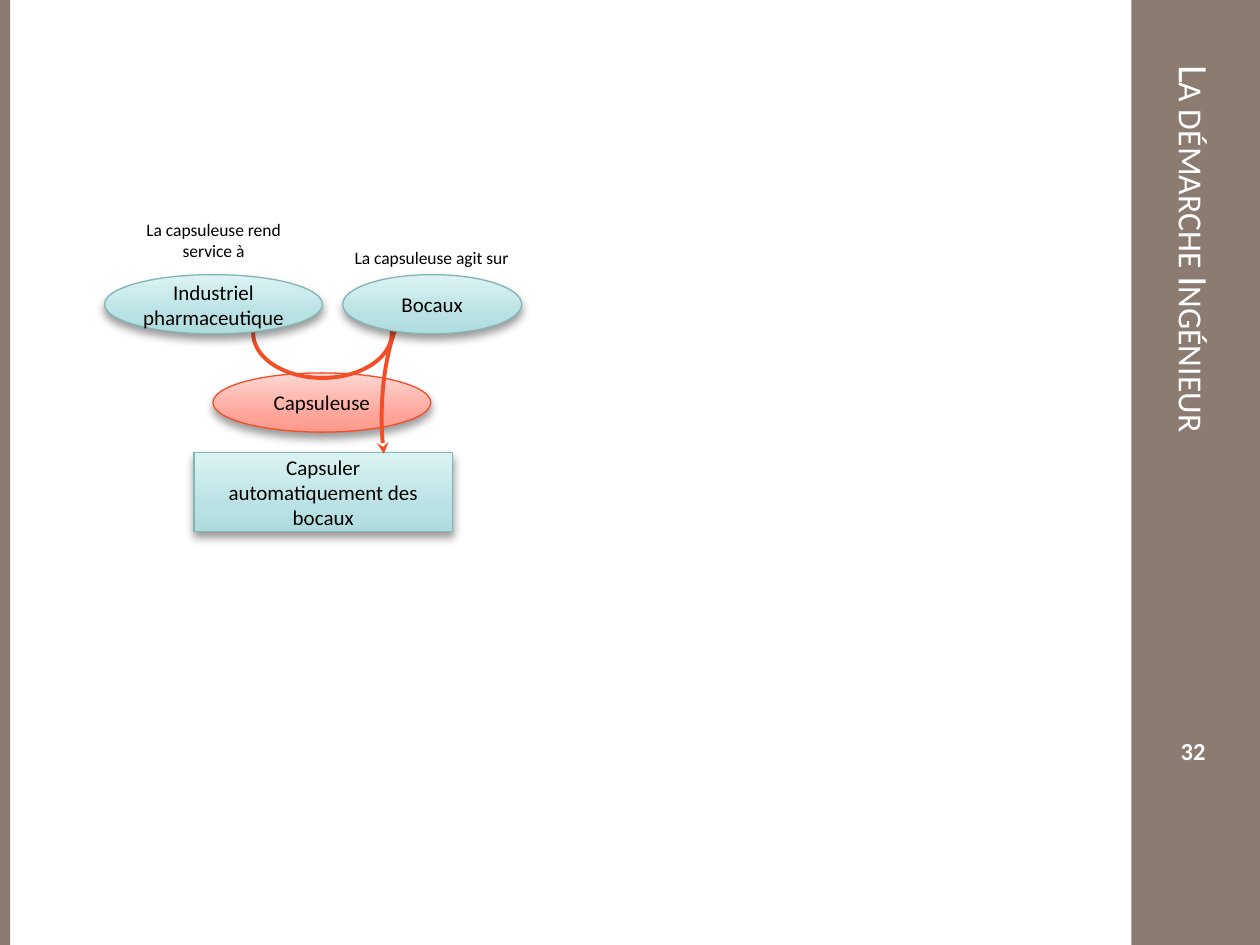
from copy import deepcopy
from lxml.etree import SubElement
from pptx import Presentation
from pptx.dml.color import RGBColor
from pptx.enum.shapes import MSO_SHAPE as Form
from pptx.enum.text import MSO_ANCHOR as Anchor, PP_ALIGN as Align
from pptx.oxml.ns import qn
from pptx.util import Inches, Pt

COLS, ROWS = 100, 75
WIDE, HIGH = Inches(10), Inches(7.5)
BROWN, WHITE, BLACK, ORANGE = "8C7B70", "FFFFFF", "000000", "F34E27"
TEAL = ("B1DCDD", "B6E0E2", "DCF3F4"), "84B5B6"
CORAL = ("FF9A8C", "FFA397", "FFD6D2"), ORANGE


def tint(color, code):
    """Set a colour from a hex string."""
    color.rgb = RGBColor.from_string(code)


def place(x, y, w, h):
    """Turn grid columns and rows into slide lengths."""
    return (round(x * WIDE / COLS), round(y * HIGH / ROWS),
            round(w * WIDE / COLS), round(h * HIGH / ROWS))


def write(shape, text, size, code=BLACK, align=Align.CENTER, anchor=Anchor.MIDDLE):
    """Put formatted text in a shape and return its font."""
    frame = shape.text_frame
    frame.text = text
    frame.word_wrap = True
    frame.vertical_anchor = anchor
    para = frame.paragraphs[0]
    para.alignment = align
    font = para.runs[0].font
    font.name, font.size = "Calibri", Pt(size)
    tint(font.color, code)
    return font


def add_bar(slide, *box):
    """Draw a plain brown band."""
    bar = slide.shapes.add_shape(Form.RECTANGLE, *place(*box))
    bar.shadow.inherit = False
    bar.fill.solid()
    tint(bar.fill.fore_color, BROWN)
    bar.line.fill.background()


def add_text(slide, box, text, size, **style):
    """Add a text box and return its shape and font."""
    label = slide.shapes.add_textbox(*place(*box))
    return label, write(label, text, size, **style)


def blend(shape, codes):
    """Fill a shape with a three-stop gradient rising from its foot."""
    shape.fill.gradient()
    shape.fill.gradient_angle = 90
    stops = shape._element.spPr.find(qn("a:gradFill")).find(qn("a:gsLst"))
    stops.insert(1, deepcopy(stops[0]))
    for stop, code, share in zip(shape.fill.gradient_stops, codes, (0, 0.25, 1)):
        tint(stop.color, code)
        stop.position = share


def shade(shape):
    """Cast a soft shadow below a shape."""
    shape.shadow.inherit = False
    effects = shape._element.spPr.find(qn("a:effectLst"))
    cast = SubElement(effects, qn("a:outerShdw"), blurRad=str(Pt(5.2)),
                      dist=str(Pt(3)), dir="5400000", rotWithShape="0")
    color = SubElement(cast, qn("a:srgbClr"), val=BLACK)
    SubElement(color, qn("a:alpha"), val="40000")


def add_node(slide, form, box, text, theme):
    """Draw a shaded node with its name."""
    node = slide.shapes.add_shape(form, *place(*box))
    codes, edge = theme
    blend(node, codes)
    tint(node.line.color, edge)
    node.line.width = Pt(0.75)
    shade(node)
    write(node, text, 12)
    if form == Form.OVAL:
        frame = node.text_frame
        frame.margin_left = frame.margin_right = 0
        frame.margin_top = frame.margin_bottom = 0


def add_arc(slide, box, start, end, arrow=False):
    """Draw an arc between two angles; an arrow arc is mirrored."""
    arc = slide.shapes.add_shape(Form.ARC, *place(*box))
    arc.shadow.inherit = False
    arc.fill.background()
    for i, angle in enumerate((start, end)):
        arc.adjustments[i] = angle * 0.6
    tint(arc.line.color, ORANGE)
    arc.line.width = Pt(2.25)
    if arrow:
        props = arc._element.spPr
        props.find(qn("a:xfrm")).set("flipH", "1")
        SubElement(props.find(qn("a:ln")), qn("a:tailEnd"), type="stealth")


def add_frame(slide):
    """Draw the side bands, the title and the page number."""
    add_bar(slide, 89.8, 0, 10.2, ROWS)
    add_bar(slide, 0, 0, 0.8, ROWS)
    title, font = add_text(slide, (89.8, 4.2, 10.2, 64.2), "La démarche Ingénieur",
                           24, code=WHITE, align=Align.LEFT)
    title.text_frame._txBody.bodyPr.set("vert", "vert")
    font._element.set("cap", "small")
    page, font = add_text(slide, (89.4, 58, 10.6, 3.1), "32", 14, code=WHITE)
    font.bold = True


def main():
    """Build the slide and save it."""
    deck = Presentation()
    deck.slide_width, deck.slide_height = WIDE, HIGH
    slide = deck.slides.add_slide(deck.slide_layouts[6])
    add_frame(slide)
    add_node(slide, Form.OVAL, (16.9, 29.6, 17.3, 4.7), "Capsuleuse", CORAL)
    add_node(slide, Form.RECTANGLE, (15.4, 35.9, 20.5, 6.3),
             "Capsuler automatiquement des bocaux", TEAL)
    add_arc(slide, (20.1, 22.9, 11, 7.1), 344.42, 189.29)
    add_node(slide, Form.OVAL, (8.3, 21.8, 17.3, 4.7), "Industriel pharmaceutique", TEAL)
    add_arc(slide, (30.3, 22.4, 9, 21.4), 292.37, 34.16, arrow=True)
    add_node(slide, Form.OVAL, (27.2, 21.8, 14.2, 4.7), "Bocaux", TEAL)
    add_text(slide, (9.1, 16.9, 15.7, 4.4), "La capsuleuse rend service à", 10,
             anchor=Anchor.TOP)
    add_text(slide, (25.6, 19.1, 17.3, 2.7), "La capsuleuse agit sur", 10,
             anchor=Anchor.TOP)
    deck.save("out.pptx")


if __name__ == "__main__":
    main()
